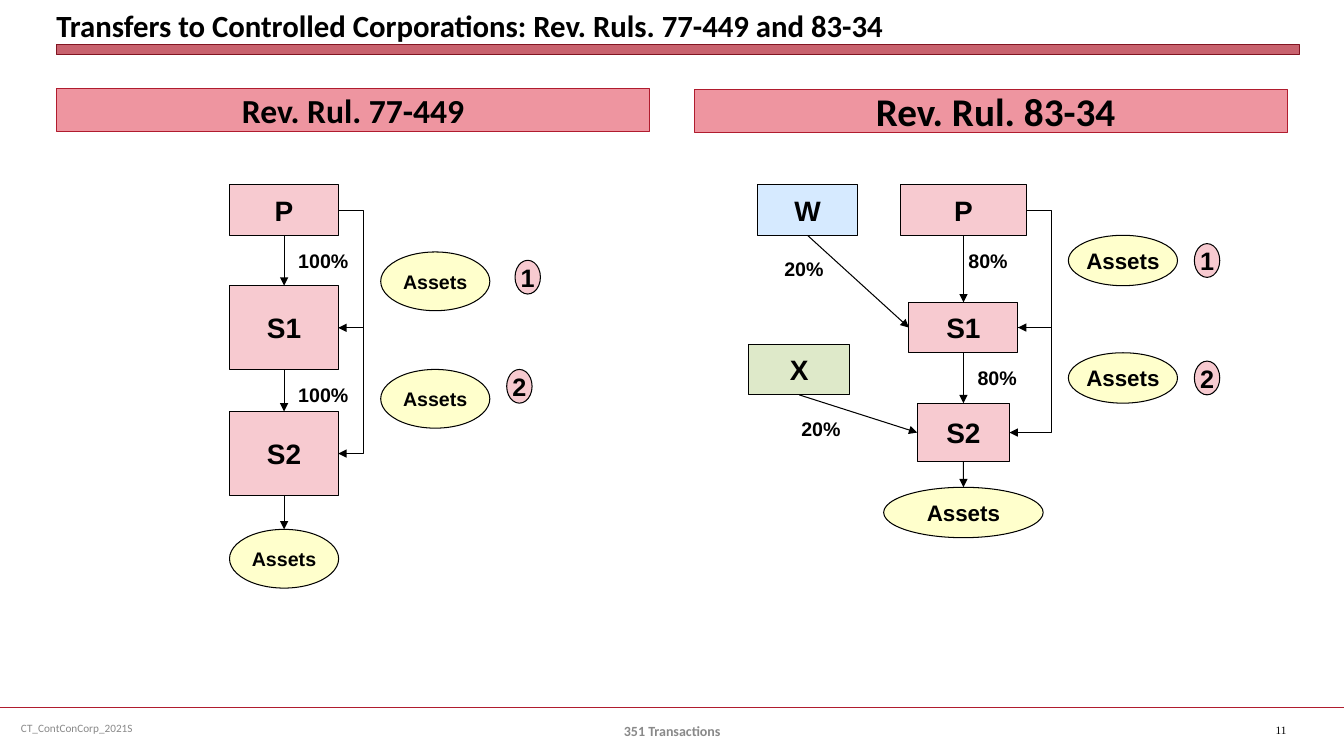
"""Build the slide comparing transfers under Rev. Rul. 77-449 and Rev. Rul. 83-34."""
from lxml.etree import SubElement
from pptx import Presentation
from pptx.dml.color import RGBColor
from pptx.enum.shapes import MSO_CONNECTOR as LINK, MSO_SHAPE as SHAPE
from pptx.enum.text import MSO_ANCHOR as ANCHOR, PP_ALIGN as ALIGN
from pptx.oxml.ns import qn
from pptx.util import Cm, Pt

BLACK = RGBColor(0x00, 0x00, 0x00)
GREY = RGBColor(0x89, 0x89, 0x89)
CRIMSON = RGBColor(0xB0, 0x1C, 0x2E)
DARK_RED = RGBColor(0x82, 0x15, 0x22)
ROSE = RGBColor(0xEE, 0x95, 0xA0)
PINK = RGBColor(0xF7, 0xCA, 0xD0)
BLUE = RGBColor(0xD6, 0xEA, 0xFF)
GREEN = RGBColor(0xDE, 0xE9, 0xC9)
YELLOW = RGBColor(0xFF, 0xFF, 0xCC)

SLIDE_W, SLIDE_H = 33.87, 19.05
FOOTER_Y = 17.83
TOP, BOTTOM, LEFT = 0, 2, 1
ALPHA = 69

TITLE = "Transfers to Controlled Corporations: Rev. Ruls. 77-449 and 83-34"
BANNERS = [("Rev. Rul. 77-449", 1.42, 2.24, 24), (" Rev. Rul. 83-34", 17.5, 2.26, 28)]
FOOTERS = [
    ("CT_ContConCorp_2021S", 0.28, 17.83, 8.74, 8, "Calibri", GREY, False, ALIGN.LEFT),
    ("351 Transactions", 11.58, 17.91, 10.72, 10, "Calibri", GREY, True, ALIGN.CENTER),
    ("11", 31.9, 17.88, 1.7, 8, "Times New Roman", BLACK, False, ALIGN.LEFT),
]

RULINGS = [
    {
        "axis": 7.16, "rail": 9.17, "asset_size": 14,
        "owners": [("P", 7.16, 4.66, 2.75, 1.27, PINK), ("S1", 7.16, 7.2, 2.75, 2.12, PINK),
                   ("S2", 7.16, 10.37, 2.75, 2.12, PINK)],
        "held": (7.16, 13.34, 2.75, 1.48),
        "minority": [],
        "transfers": [(10.97, 6.35, 2.75, 1.48), (10.97, 9.31, 2.75, 1.48)],
        "steps": [("1", 13.3, 6.56), ("2", 13.09, 9.31)],
        "stakes": [("100%", 8.15, 6.14), ("100%", 8.15, 9.53)],
    },
    {
        "axis": 24.28, "rail": 26.49, "asset_size": 16,
        "owners": [("P", 24.28, 4.66, 3.18, 1.27, PINK), ("S1", 24.28, 7.62, 2.75, 1.27, PINK),
                   ("S2", 24.28, 10.16, 2.33, 1.48, PINK), ("W", 20.35, 4.66, 2.54, 1.27, BLUE),
                   ("X", 20.14, 8.68, 2.54, 1.27, GREEN)],
        "held": (24.28, 12.28, 4.02, 1.27),
        "minority": [("W", "S1"), ("X", "S2")],
        "transfers": [(28.3, 5.93, 2.75, 1.27), (28.3, 8.89, 2.75, 1.27)],
        "steps": [("1", 30.42, 6.14), ("2", 30.42, 9.1)],
        "stakes": [("20%", 20.26, 6.35), ("80%", 24.9, 6.14),
                   ("20%", 20.69, 10.37), ("80%", 25.13, 9.1)],
    },
]

prs = Presentation()
prs.slide_width, prs.slide_height = Cm(SLIDE_W), Cm(SLIDE_H)
slide = prs.slides.add_slide(prs.slide_layouts[6])
shapes = slide.shapes


def write(holder, text, size, font="Arial", color=BLACK, bold=True,
          align=ALIGN.CENTER, anchor=ANCHOR.MIDDLE, wrap=False):
    frame = holder.text_frame
    frame.word_wrap, frame.vertical_anchor = wrap, anchor
    line = frame.paragraphs[0]
    line.text, line.alignment = text, align
    line.font.size, line.font.name, line.font.bold = Pt(size), font, bold
    line.font.color.rgb = color
    return frame


def block(kind, left, top, width, height, fill, edge=BLACK, weight=0.75):
    shape = shapes.add_shape(kind, Cm(left), Cm(top), Cm(width), Cm(height))
    shape.shadow.inherit = False
    shape.fill.solid()
    shape.fill.fore_color.rgb = fill
    shape.line.color.rgb, shape.line.width = edge, Pt(weight)
    return shape


def node(kind, text, center, top, width, height, fill, size):
    shape = block(kind, center - width / 2, top, width, height, fill)
    write(shape, text, size)
    return shape


def textbox(left, top, width, height):
    return shapes.add_textbox(Cm(left), Cm(top), Cm(width), Cm(height))


def connect(kind, start=(0, 0), end=(0, 0), color=BLACK, weight=0.75, arrow=True):
    link = shapes.add_connector(kind, *start, *end)
    link.line.color.rgb, link.line.width = color, Pt(weight)
    if arrow:
        SubElement(link.line._get_or_add_ln(), qn("a:tailEnd"), type="triangle")
    SubElement(link._element.spPr, qn("a:effectLst"))
    return link


def straight(source, target, target_side=TOP):
    link = connect(LINK.STRAIGHT)
    link.begin_connect(source, BOTTOM)
    link.end_connect(target, target_side)


def around(source, target, rail):
    start_x = source.left + source.width
    end_x = min(target.left + target.width, start_x - Cm(0.01))
    start = start_x, source.top + source.height // 2
    end = end_x, target.top + target.height // 2
    link = connect(LINK.ELBOW, start, end)
    bend = round((Cm(rail) - start_x) / (end_x - start_x) * 100000)
    guides = link._element.spPr.find(qn("a:prstGeom")).get_or_add_avLst()
    SubElement(guides, qn("a:gd"), name="adj1", fmla=f"val {bend}")


connect(LINK.STRAIGHT, (0, Cm(FOOTER_Y)), (Cm(SLIDE_W), Cm(FOOTER_Y)), CRIMSON, 1.25, False)
title_bar = block(SHAPE.RECTANGLE, 1.42, 1.13, 31.32, 0.25, CRIMSON, DARK_RED, 0)
bar_color = title_bar._element.spPr.find(qn("a:solidFill"))[0]
SubElement(bar_color, qn("a:alpha"), val=str(ALPHA * 1000))

title = write(textbox(1.42, 0, 31.32, 1.09), TITLE, 22, "Calibri",
              align=ALIGN.LEFT, anchor=ANCHOR.BOTTOM, wrap=True)
title.margin_left = title.margin_right = title.margin_top = title.margin_bottom = 0

for text, left, top, size in BANNERS:
    banner = block(SHAPE.RECTANGLE, left, top, 14.96, 1.07, ROSE, CRIMSON)
    write(banner, text, size, "Calibri", wrap=True)

for text, left, top, width, size, font, color, bold, align in FOOTERS:
    write(textbox(left, top, width, 1.02), text, size, font, color, bold, align, wrap=True)

for ruling in RULINGS:
    asset_size = ruling["asset_size"]
    owners = {owner[0]: node(SHAPE.RECTANGLE, *owner, 20) for owner in ruling["owners"]}
    held = node(SHAPE.OVAL, "Assets", *ruling["held"], YELLOW, asset_size)
    chain = [owners["P"], owners["S1"], owners["S2"]]
    for source, target in zip(chain, chain[1:] + [held]):
        straight(source, target)
    for source, target in zip(chain, chain[1:]):
        around(source, target, ruling["rail"])
    for holder, company in ruling["minority"]:
        straight(owners[holder], owners[company], LEFT)
    for place in ruling["transfers"]:
        node(SHAPE.OVAL, "Assets", *place, YELLOW, asset_size)
    for number, center, top in ruling["steps"]:
        node(SHAPE.OVAL, number, center, top, 0.64, 0.85, PINK, 18)
    for stake, center, top in ruling["stakes"]:
        write(textbox(center - 0.89, top, 1.78, 0.85), stake, 14)

prs.save("out.pptx")
